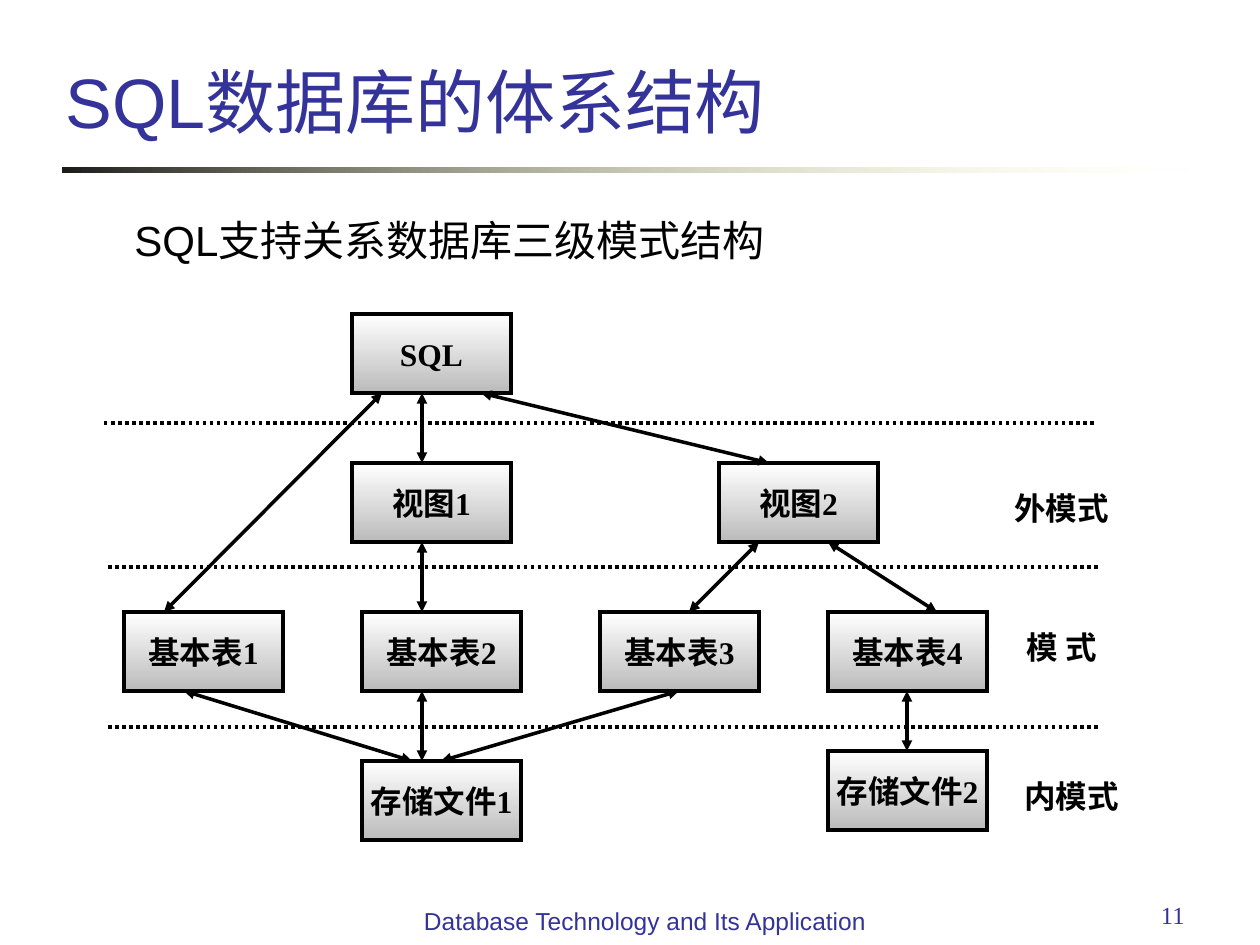
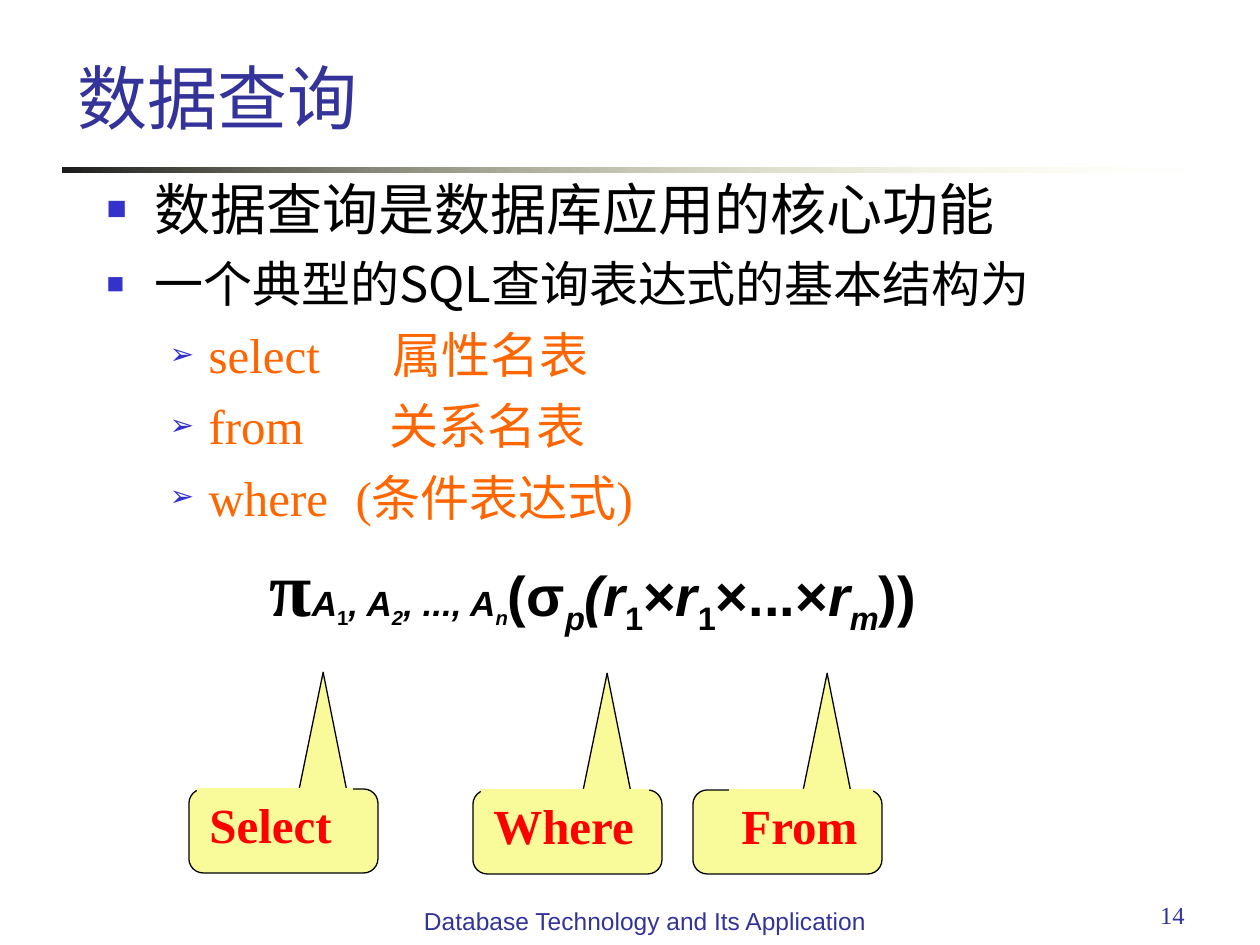
import pptx
import pptx.util
import pptx.dml.color
import pptx.enum.dml
import pptx.enum.shapes
import pptx.enum.text
import pptx.oxml
import pptx.oxml.ns
import lxml.etree

RGB = pptx.dml.color.RGBColor
NAVY = RGB(0x33, 0x33, 0x99)
BLACK = RGB(0, 0, 0)
WHITE = RGB(0xFF, 0xFF, 0xFF)
GREY = RGB(0xBB, 0xBB, 0xBB)
CHARCOAL = RGB(0x1C, 0x1C, 0x1C)
CREAM = RGB(0xFF, 0xFF, 0xB7)
YELLOW = RGB(0xF9, 0xFB, 0x9B)
ORANGE = RGB(0xFF, 0x66, 0x00)
RED = RGB(0xFF, 0, 0)
BULLET_BLUE = RGB(0x33, 0x33, 0xCC)

SANS, SERIF, CJK = "Arial", "Times New Roman", "Noto Sans CJK SC"
SHAPE = pptx.enum.shapes.MSO_SHAPE
ALIGN = pptx.enum.text.PP_ALIGN
ANCHOR = pptx.enum.text.MSO_ANCHOR
FIT = pptx.enum.text.MSO_AUTO_SIZE
Pt = pptx.util.Pt
qn = pptx.oxml.ns.qn
SUB = lxml.etree.SubElement
PX_PER_INCH = 126


def px(*lengths):
    return [round(n * 914400 / PX_PER_INCH) for n in lengths]


def set_font(font, name, size, colour, bold=False):
    font.name, font.size, font.bold = name, Pt(size), bold
    font.color.rgb = colour
    latin = font._rPr.find(qn("a:latin"))
    east_asian = pptx.oxml.parse_xml(
        f'<a:ea {pptx.oxml.ns.nsdecls("a")} typeface="{CJK}"/>')
    latin.addnext(east_asian)


prs = pptx.Presentation()
prs.slide_width, prs.slide_height = px(1260, 945)
architecture = prs.slides.add_slide(prs.slide_layouts[5])
query = prs.slides.add_slide(prs.slide_layouts[1])

# Fading rule under the titles, kept on the master
rule = architecture.shapes.add_shape(SHAPE.RECTANGLE, *px(63, 168, 1134, 5))
rule.shadow.inherit = False
rule.line.fill.background()
rule.fill.gradient()
rule.fill.gradient_angle = 0
for stop, colour in zip(rule.fill.gradient_stops, (CHARCOAL, CREAM)):
    stop.color.rgb = colour
    stop.position = 0 if colour == CHARCOAL else 1
clear_end = rule._element.findall(".//" + qn("a:srgbClr"))[-1]
SUB(clear_end, qn("a:alpha")).set("val", "0")
prs.slide_master.shapes._spTree.append(rule._element)

# Titles, page numbers and footers
for slide, heading, latin_font, place, page in (
        (architecture, "SQL数据库的体系结构", SANS, (53, 0, 1106, 149), "11"),
        (query, "数据查询", CJK, (65, 66, 1026, 79), "14")):
    title = slide.shapes.title
    title.left, title.top, title.width, title.height = px(*place)
    title.text_frame.text = heading
    title.text_frame.auto_size = FIT.NONE
    title.text_frame.vertical_anchor = ANCHOR.BOTTOM
    title.text_frame.paragraphs[0].alignment = ALIGN.LEFT
    set_font(title.text_frame.paragraphs[0].font, latin_font, 40, NAVY)

    for note, note_place, align, note_font in (
            (page, (903, 894, 294, 51), ALIGN.RIGHT, SERIF),
            ("Database Technology and Its Application",
             (402, 900, 486, 45), ALIGN.CENTER, SANS)):
        footer = slide.shapes.add_textbox(*px(*note_place)).text_frame
        footer.word_wrap = True
        footer.text = note
        footer.paragraphs[0].alignment = align
        set_font(footer.paragraphs[0].font, note_font, 14, NAVY)

# Slide 1: lead sentence
lead = architecture.shapes.add_textbox(*px(117, 188, 665, 83)).text_frame
lead.word_wrap = False
lead.auto_size = FIT.SHAPE_TO_FIT_TEXT
lead.text = "SQL支持关系数据库三级模式结构"
lead.paragraphs[0].alignment = ALIGN.CENTER
lead.paragraphs[0].line_spacing = 1.4
set_font(lead.paragraphs[0].font, SANS, 24, BLACK)

# Slide 1: boxes of the three-level schema
for name, left, top in (
        ("SQL", 352, 314), ("视图1", 352, 463), ("视图2", 719, 463),
        ("基本表1", 124, 612), ("基本表2", 362, 612),
        ("基本表3", 600, 612), ("基本表4", 828, 612),
        ("存储文件1", 362, 761), ("存储文件2", 828, 751)):
    box = architecture.shapes.add_shape(
        SHAPE.RECTANGLE, *px(left, top, 159, 79))
    box.shadow.inherit = False
    box.fill.gradient()
    box.fill.gradient_angle = 270
    for stop, colour in zip(box.fill.gradient_stops, (WHITE, GREY)):
        stop.color.rgb = colour
        stop.position = 0 if colour == WHITE else 1
    box.line.color.rgb = BLACK
    box.line.width = Pt(2)
    SUB(box.line._get_or_add_ln(), qn("a:miter")).set("lim", "800000")
    box.text_frame.word_wrap = False
    box.text_frame.vertical_anchor = ANCHOR.MIDDLE
    box.text_frame.text = name
    box.text_frame.paragraphs[0].alignment = ALIGN.CENTER
    set_font(box.text_frame.paragraphs[0].font, SERIF, 18, BLACK, True)

# Slide 1: mappings between boxes, and dotted level dividers
mappings = [
    (382, 393, 164, 612), (422, 393, 422, 463), (481, 393, 769, 463),
    (422, 542, 422, 612), (759, 542, 689, 612), (828, 542, 937, 612),
    (184, 691, 412, 761), (422, 691, 422, 761), (679, 691, 441, 761),
    (907, 691, 907, 751)]
dividers = [(104, 423, 1096, 423), (108, 567, 1101, 567),
            (108, 727, 1101, 727)]
for ends in mappings + dividers:
    link = architecture.shapes.add_connector(
        pptx.enum.shapes.MSO_CONNECTOR.STRAIGHT, *px(*ends))
    link.line.color.rgb = BLACK
    link.line.width = Pt(2)
    if ends in dividers:
        link.line.dash_style = pptx.enum.dml.MSO_LINE.ROUND_DOT
    else:
        for arrow in ("a:headEnd", "a:tailEnd"):
            SUB(link.line._get_or_add_ln(), qn(arrow)).set("type", "triangle")
    SUB(link._element.spPr, qn("a:effectLst"))

# Slide 1: names of the levels
for level_name, left, top in (
        ("外模式", 987, 483), ("模 式", 987, 622), ("内模式", 997, 771)):
    level = architecture.shapes.add_textbox(
        *px(left, top, 149, 50)).text_frame
    level.word_wrap = True
    level.text = level_name
    level.paragraphs[0].alignment = ALIGN.CENTER
    set_font(level.paragraphs[0].font, SERIF, 18, BLACK, True)

# Slide 2: bulleted list; (text, level, font, size, colour, tab gap)
points = [
    ("数据查询是数据库应用的核心功能", 0, SANS, 32, BLACK, 0),
    ("一个典型的SQL查询表达式的基本结构为", 0, CJK, 28, BLACK, 0),
    ("select\t属性名表", 1, SERIF, 28, ORANGE, 184),
    ("from\t关系名表", 1, SERIF, 28, ORANGE, 181),
    ("where\t(条件表达式)", 1, SERIF, 28, ORANGE, 147)]
body = query.placeholders[1]
body.left, body.top, body.width, body.height = px(94, 168, 1081, 714)
body.text_frame.auto_size = FIT.NONE
body.text_frame.text = "\n".join(point[0] for point in points)
for line, (text, level, name, size, colour, gap) in zip(
        body.text_frame.paragraphs, points):
    indent, hanging = ((48, 48), (102, 39))[level]
    line.level = level
    line.space_before = Pt(size / 4)
    props = line._p.get_or_add_pPr()
    props.set("marL", str(px(indent)[0]))
    props.set("indent", str(-px(hanging)[0]))
    SUB(SUB(props, qn("a:buClr")), qn("a:srgbClr")).set(
        "val", str(BULLET_BLUE))
    SUB(props, qn("a:buSzPct")).set("val", "60000")
    SUB(props, qn("a:buFont")).set("typeface", SANS)
    SUB(props, qn("a:buChar")).set("char", "■➢"[level])
    if gap:
        # One stop counted from the indent, one from the frame edge
        stops = SUB(props, qn("a:tabLst"))
        for position in px(gap, gap + indent):
            SUB(stops, qn("a:tab")).attrib.update(
                {"pos": str(position), "algn": "l"})
    set_font(line.font, name, size, colour)

# Slide 2: relational algebra; (text, size, italic, subscript)
formula = body.text_frame.add_paragraph()
formula.space_before = Pt(8)
props = formula._p.get_or_add_pPr()
props.set("marL", str(px(163)[0]))
props.set("indent", "0")
SUB(props, qn("a:buNone"))
for text, size, italic, subscript in (
        ("π", 44, False, False), ("A", 20, True, False),
        ("1", 20, False, True), (", A", 20, True, False),
        ("2", 20, True, True), (", ..., A", 20, True, False),
        ("n", 20, True, True), ("(σ", 32, False, False),
        ("p", 32, True, True), ("(r", 32, True, False),
        ("1", 32, False, True), ("×", 32, False, False),
        ("r", 32, True, False), ("1", 32, False, True),
        ("×...×", 32, False, False), ("r", 32, True, False),
        ("m", 32, True, True), ("))", 32, False, False)):
    term = formula.add_run()
    term.text = text
    set_font(term.font, SERIF if text == "π" else SANS, size, BLACK, True)
    term.font.italic = italic
    if subscript:
        term.font._rPr.set("baseline", "-25000")

# Slide 2: callouts naming the clauses
for clause, left, top, label_left, label_width in (
        ("Select", 189, 789, 197, 156), ("Where", 473, 790, 481, 168),
        ("From", 693, 790, 729, 144)):
    callout = query.shapes.add_shape(
        SHAPE.ROUNDED_RECTANGULAR_CALLOUT, *px(left, top, 189, 84))
    callout.shadow.inherit = False
    for i, value in enumerate((0.21, -1.89, 0.17)):
        callout.adjustments[i] = value
    callout.fill.solid()
    callout.fill.fore_color.rgb = YELLOW
    callout.line.color.rgb = BLACK
    callout.line.width = Pt(0.75)

    label = query.shapes.add_textbox(*px(label_left, top - 1, label_width, 72))
    label.fill.solid()
    label.fill.fore_color.rgb = YELLOW
    label.text_frame.word_wrap = False
    label.text_frame.auto_size = FIT.SHAPE_TO_FIT_TEXT
    label.text_frame.text = clause
    set_font(label.text_frame.paragraphs[0].font, SERIF, 28, RED, True)

prs.save("out.pptx")
